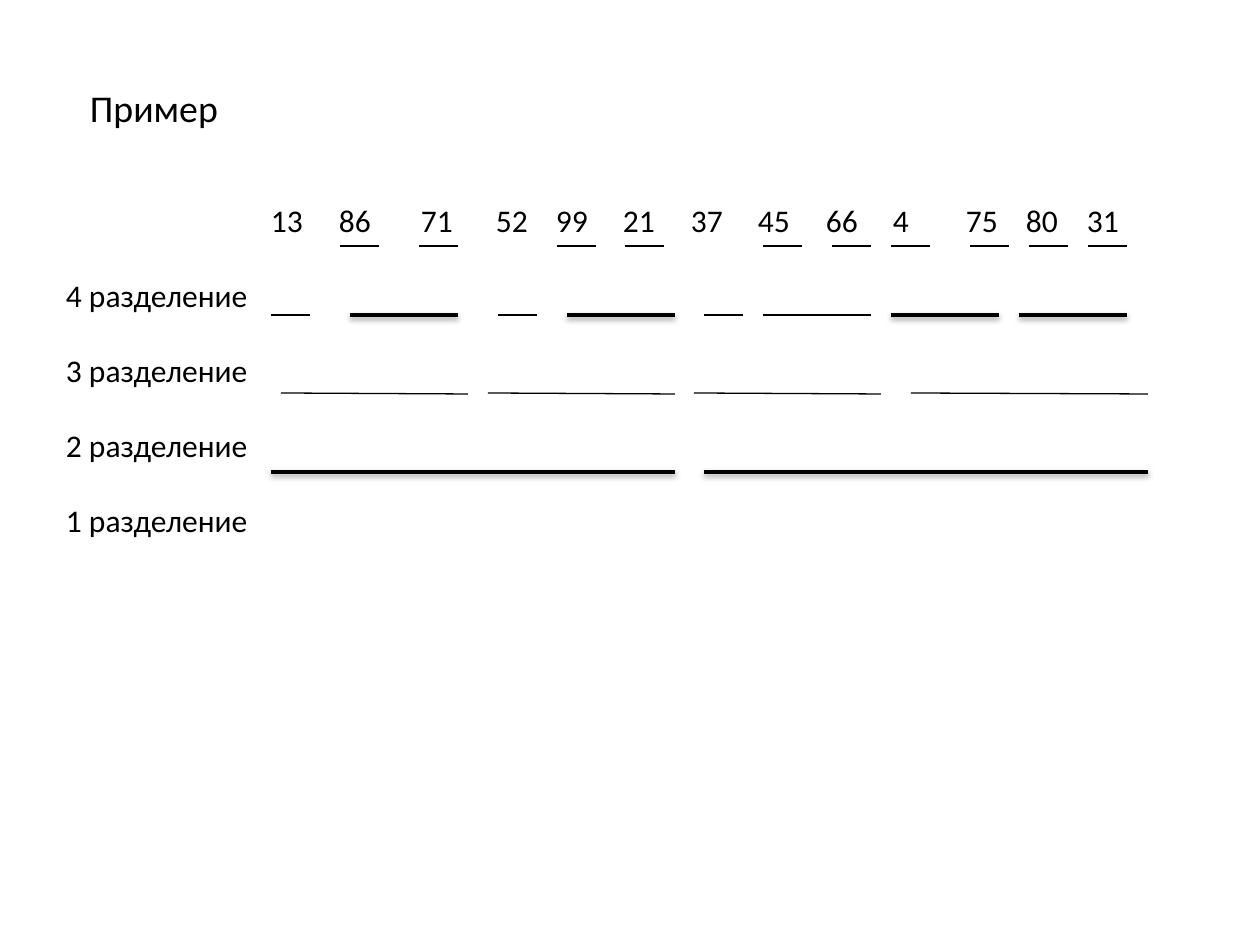
"""Build a slide showing how a list of numbers is split in merge sort."""
from dataclasses import dataclass

import lxml.etree
import pptx
import pptx.dml.color
import pptx.enum.shapes
import pptx.enum.text
import pptx.oxml
import pptx.oxml.ns
import pptx.util

BLACK = pptx.dml.color.RGBColor(0x00, 0x00, 0x00)
FONT = "Calibri"
PX_PER_INCH = 126
INSET = 13
TEXT_LEFT = 53
NUMBERS = (13, 86, 71, 52, 99, 21, 37, 45, 66, 4, 75, 80, 31)
NUMBER_LEFTS = (271, 339, 421, 496, 556, 623, 691, 758, 826, 893, 966, 1026, 1087)
STEPS = (4, 3, 2, 1)
SHADOW = {"blurRad": "40000", "dist": "20000", "dir": "5400000", "rotWithShape": "0"}


@dataclass(frozen=True)
class Rule:
    left: int
    width: int
    bold: bool = False


@dataclass(frozen=True)
class Level:
    y: int
    rules: tuple[Rule, ...]
    drop: int = 0


SINGLE, PAIR = 39, 108
LEVELS = (
    Level(246, tuple(Rule(x, SINGLE) for x in
                     (340, 419, 557, 625, 763, 832, 891, 970, 1029, 1088))),
    Level(315, (
        *(Rule(x, SINGLE) for x in (271, 498, 704)),
        Rule(763, PAIR),
        *(Rule(x, PAIR, bold=True) for x in (350, 567, 891, 1019)),
    )),
    Level(393, (Rule(281, 187), Rule(488, 187), Rule(694, 187), Rule(911, 237)), drop=1),
    Level(472, (Rule(271, 404, bold=True), Rule(704, 444, bold=True))),
)


def px(n: int) -> pptx.util.Emu:
    return pptx.util.Emu(round(n * 914400 / PX_PER_INCH))


def set_all(obj, values: dict) -> None:
    for name, value in values.items():
        setattr(obj, name, value)


def add_text(slide, box: tuple[int, ...], lines: list[str], size: float,
             frame: dict, spacing: float = 0):
    tf = slide.shapes.add_textbox(*map(px, box)).text_frame
    set_all(tf, {"word_wrap": True, **frame})
    for i, line in enumerate(lines):
        p = tf.paragraphs[0] if i == 0 else tf.add_paragraph()
        p.space_before = pptx.util.Pt(spacing if i else 0)
        r = p.add_run()
        r.text = line
        set_all(r.font, {"name": FONT, "size": pptx.util.Pt(size)})
        r.font.color.rgb = BLACK
    return tf


def set_tabs(p, lefts: tuple[int, ...]) -> None:
    tabs = lxml.etree.SubElement(p._p.get_or_add_pPr(), pptx.oxml.ns.qn("a:tabLst"))
    for left in lefts:
        lxml.etree.SubElement(tabs, pptx.oxml.ns.qn("a:tab"),
                              pos=str(px(left - TEXT_LEFT - INSET)), algn="l")


def add_rule(slide, level: Level, rule: Rule) -> None:
    sp = slide.shapes.add_connector(
        pptx.enum.shapes.MSO_CONNECTOR.STRAIGHT, px(rule.left), px(level.y),
        px(rule.left + rule.width), px(level.y + level.drop))
    sp.line.color.rgb = BLACK
    sp.line.width = pptx.util.Pt(2 if rule.bold else 0.75)
    qn = pptx.oxml.ns.qn
    effects = lxml.etree.SubElement(sp._element.spPr, qn("a:effectLst"))
    if rule.bold:
        shadow = lxml.etree.SubElement(effects, qn("a:outerShdw"), SHADOW)
        color = lxml.etree.SubElement(shadow, qn("a:srgbClr"), val=str(BLACK))
        lxml.etree.SubElement(color, qn("a:alpha"), val="38000")


def main() -> None:
    prs = pptx.Presentation()
    set_all(prs, {"slide_width": px(1260), "slide_height": px(945)})
    slide = prs.slides.add_slide(prs.slide_layouts[6])
    add_text(slide, (63, 55, 1134, 79), ["Пример"], 21.6, {
        "margin_left": px(27),
        "margin_top": px(31),
        "vertical_anchor": pptx.enum.text.MSO_ANCHOR.MIDDLE,
    })
    numbers = "".join(f"\t{n}" for n in NUMBERS)
    tf = add_text(slide, (TEXT_LEFT, 195, 1134, 357),
                  [numbers, *(f"{n} разделение" for n in STEPS)], 18,
                  {"margin_left": px(INSET)}, spacing=21.2)
    set_tabs(tf.paragraphs[0], NUMBER_LEFTS)
    for level in LEVELS:
        for rule in level.rules:
            add_rule(slide, level, rule)
    prs.save("out.pptx")


if __name__ == "__main__":
    main()
